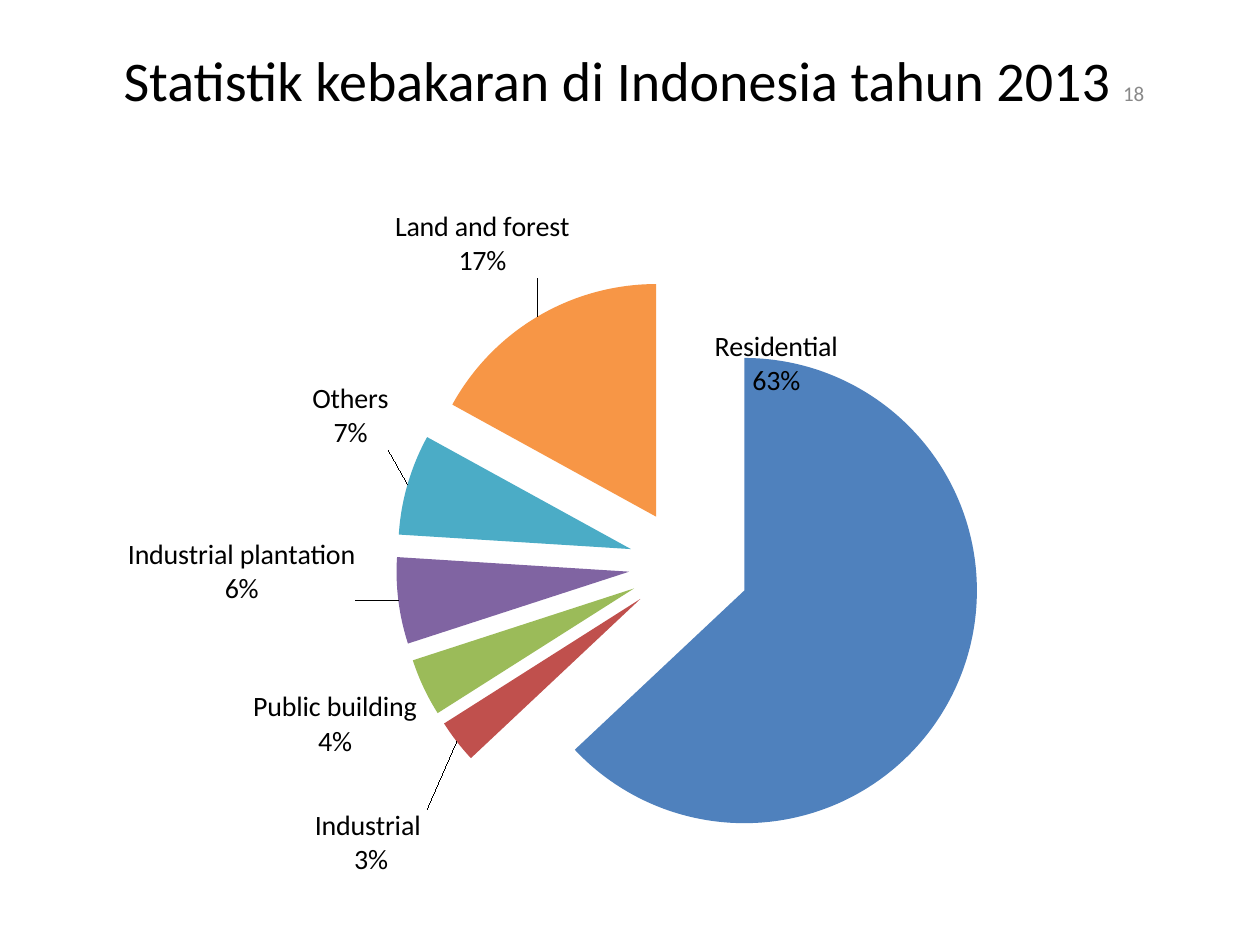
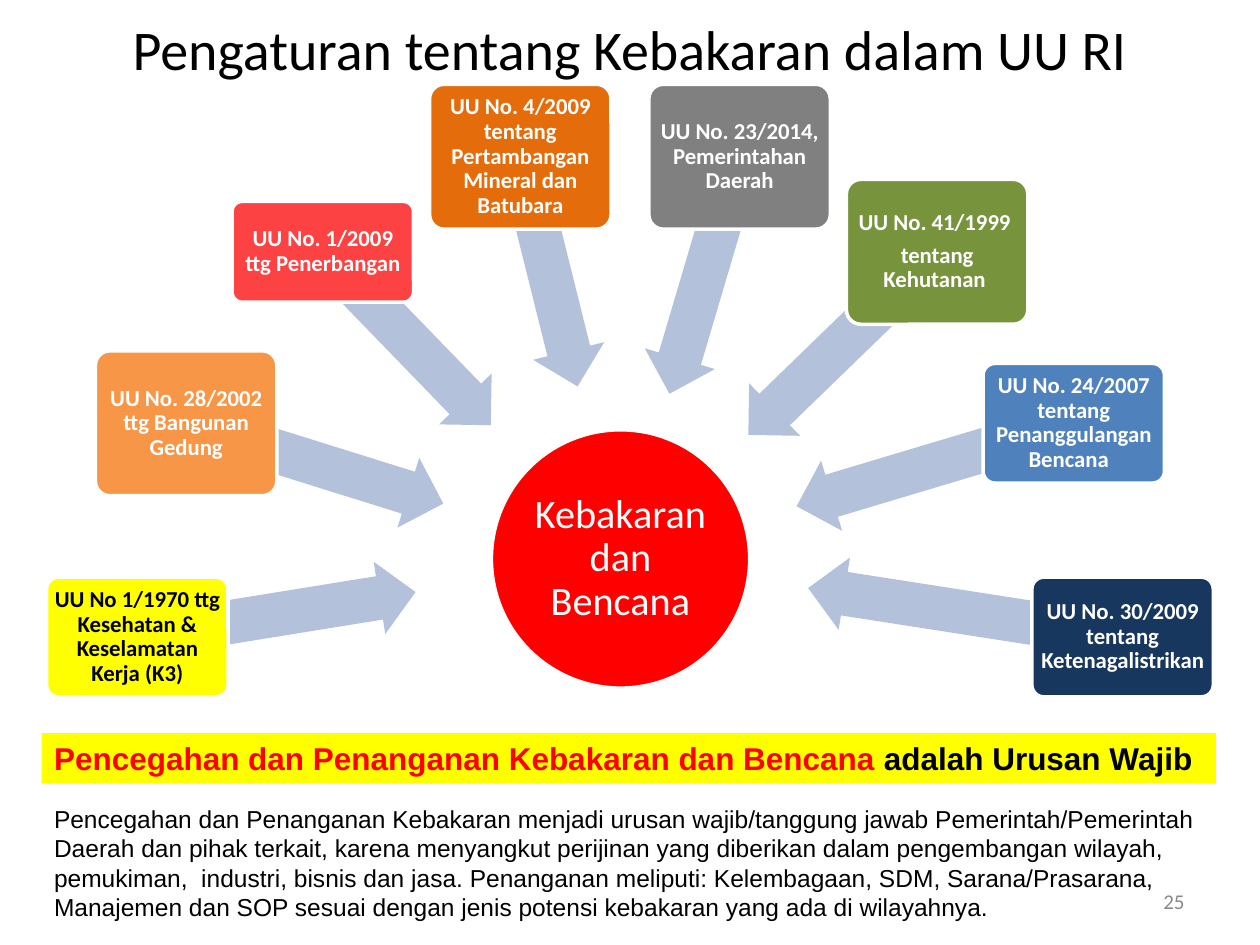
from math import atan2, cos, degrees, pi, sin

from pptx import Presentation
from pptx.chart.data import CategoryChartData
from pptx.dml.color import RGBColor
from pptx.enum.chart import XL_CHART_TYPE, XL_LABEL_POSITION
from pptx.enum.shapes import MSO_SHAPE
from pptx.enum.text import MSO_ANCHOR, PP_ALIGN
from pptx.oxml import parse_xml
from pptx.oxml.ns import nsdecls
from pptx.util import Pt

PIE = XL_CHART_TYPE.PIE
OUTSIDE = XL_LABEL_POSITION.OUTSIDE_END
MIDDLE, TOP = MSO_ANCHOR.MIDDLE, MSO_ANCHOR.TOP
CENTER, LEFT, RIGHT = PP_ALIGN.CENTER, PP_ALIGN.LEFT, PP_ALIGN.RIGHT
OVAL, ROUNDED = MSO_SHAPE.OVAL, MSO_SHAPE.ROUNDED_RECTANGLE
ARROW, RECTANGLE = MSO_SHAPE.LEFT_ARROW, MSO_SHAPE.RECTANGLE

BLACK, WHITE, RED, YELLOW = "000000", "FFFFFF", "FF0000", "FFFF00"
GREY, ARROW_BLUE = "898989", "B3C1DB"

TITLE = dict(size=32, font="Calibri", align=CENTER, anchor=MIDDLE)
PAGE = dict(size=12, color=GREY, font="Calibri", align=RIGHT, anchor=MIDDLE)
LAW = dict(size=13, bold=True, font="Calibri", align=CENTER, anchor=MIDDLE,
           inset=2, leading=0.9, gap=4.5)
HUB = dict(size=23, color=WHITE, font="Calibri", align=CENTER, anchor=MIDDLE,
           inset=1.4, leading=0.9)
BANNER = dict(size=18, bold=True, font="Arial", wrap=False)
DUTY = dict(size=14, font="Arial")

STATISTICS_TITLE = "Statistik kebakaran di Indonesia tahun 2013"
FIRES = [
    ("Residential", 63, "4F81BD", (-0.21, -0.45), None),
    ("Industrial ", 3, "C0504D", (-0.02, 0.08), None),
    ("Public Building", 4, "9BBB59", None, ("Public building", "4%")),
    ("Industrial Plantation", 6, "8064A2", (-0.03, -0.08),
     ("Industrial plantation", "6%")),
    ("Others", 7, "4BACC6", (-0.01, -0.04), None),
    ("Land and forest", 17, "F79646", (0.03, -0.04), None),
]
PLOT = dict(x=0.165, y=0.171, w=0.75, h=0.729)
EXPLOSION, RESIDENTIAL_EXPLOSION = 24, 28

LAWS_TITLE = "Pengaturan tentang Kebakaran dalam UU RI"
HUB_TEXT = "Kebakaran dan Bencana"
LAWS = [
    (["UU No 1/1970 ttg Kesehatan & Keselamatan Kerja (K3)"],
     YELLOW, BLACK, 68.4, 182, 126.7),
    (["UU No. 28/2002 ttg Bangunan Gedung"],
     "F79646", WHITE, 82.8, 172.4, 132.5),
    (["UU No. 1/2009 ttg Penerbangan"],
     "FC4242", WHITE, 57.6, 163.7, 114.5),
    (["UU No. 4/2009 tentang Pertambangan Mineral dan Batubara"],
     "E46C0A", WHITE, 82.8, 159.9, 116.6),
    (["UU No. 23/2014, Pemerintahan Daerah"],
     "808080", WHITE, 82.8, 161.1, 125.3),
    (["UU No. 41/1999 ", "tentang Kehutanan "],
     "77933C", WHITE, 82.8, 168, 132.5),
    (["UU No. 24/2007 tentang Penanggulangan Bencana  "],
     "4F81BD", WHITE, 68.4, 177.7, 145.4),
    (["UU No. 30/2009 tentang Ketenagalistrikan "],
     "17375E", WHITE, 68.4, 188.4, 159.8),
]
BANNER_RUNS = [("Pencegahan dan Penanganan Kebakaran dan Bencana ", RED),
               ("adalah Urusan Wajib", BLACK)]
DUTY_TEXT = (
    "Pencegahan dan Penanganan Kebakaran menjadi urusan wajib/tanggung jawab "
    "Pemerintah/Pemerintah Daerah dan pihak terkait, karena menyangkut perijinan "
    "yang diberikan dalam pengembangan wilayah, pemukiman,  industri, bisnis dan "
    "jasa. Penanganan meliputi: Kelembagaan, SDM, Sarana/Prasarana, Manajemen dan "
    "SOP sesuai dengan jenis potensi kebakaran yang ada di wilayahnya.")

ARC_X, ARC_Y, ARC_RADIUS = 360, 364, 281.5
HUB_X, HUB_Y, HUB_SIZE = 354.6, 319.4, 147.6
LAW_WIDTH, ARROW_HEIGHT = 103.7, 41.8


def rgb(color):
    return RGBColor.from_string(color)


def points(*lengths):
    return [Pt(length) for length in lengths]


def around(x, y, width, height):
    return x - width / 2, y - height / 2, width, height


def write(holder, paragraphs, size, font, color=BLACK, bold=False, align=LEFT,
          anchor=TOP, inset=None, leading=None, gap=0, wrap=True):
    frame = holder.text_frame
    settings = dict(word_wrap=wrap, vertical_anchor=anchor)
    if inset is not None:
        for side in ("left", "top", "right", "bottom"):
            settings["margin_" + side] = Pt(inset)
    for name, value in settings.items():
        setattr(frame, name, value)
    for index, runs in enumerate(paragraphs):
        paragraph = frame.add_paragraph() if index else frame.paragraphs[0]
        spacing = dict(alignment=align, line_spacing=leading,
                       space_before=Pt(gap if index else 0))
        for name, value in spacing.items():
            setattr(paragraph, name, value)
        for words, tint in [(runs, color)] if isinstance(runs, str) else runs:
            run = paragraph.add_run()
            run.text = words
            for name, value in dict(size=Pt(size), name=font, bold=bold).items():
                setattr(run.font, name, value)
            run.font.color.rgb = rgb(tint)


def add_text(slide, box, paragraphs, style):
    write(slide.shapes.add_textbox(*points(*box)), paragraphs, **style)


def add_filled(slide, preset, box, fill, outline=None):
    shape = slide.shapes.add_shape(preset, *points(*box))
    shape.shadow.inherit = False
    shape.fill.solid()
    shape.fill.fore_color.rgb = rgb(fill)
    if outline:
        shape.line.color.rgb = rgb(outline)
        shape.line.width = Pt(2)
    else:
        shape.line.fill.background()
    return shape


def add_slide(deck, title, title_box, page, page_box):
    slide = deck.slides.add_slide(deck.slide_layouts[5])
    heading = slide.shapes.title
    for name, value in zip(("left", "top", "width", "height"), points(*title_box)):
        setattr(heading, name, value)
    write(heading, [title], **TITLE)
    add_text(slide, page_box, [page], PAGE)
    return slide


def label_xml(index, offset, lines):
    layout = words = ""
    if offset:
        layout = ('<c:layout><c:manualLayout><c:x val="%s"/><c:y val="%s"/>'
                  '</c:manualLayout></c:layout>' % offset)
    if lines:
        words = "<c:tx><c:rich><a:bodyPr/>%s</c:rich></c:tx>" % "".join(
            '<a:p><a:r><a:rPr lang="en-US" sz="1600"/><a:t>%s</a:t></a:r></a:p>' % line
            for line in lines)
    shown = dict(LegendKey=0, Val=0, CatName=1, SerName=0, Percent=1, BubbleSize=0)
    flags = "".join('<c:show%s val="%d"/>' % flag for flag in shown.items())
    return parse_xml(
        '<c:dLbl %s><c:idx val="%d"/>%s%s<c:dLblPos val="outEnd"/>%s'
        '<c:separator>\n</c:separator></c:dLbl>'
        % (nsdecls("c", "a"), index, layout, words, flags))


def add_fire_pie(slide):
    data = CategoryChartData()
    data.categories = [fire[0] for fire in FIRES]
    data.add_series("Series 1", [fire[1] for fire in FIRES])
    chart = slide.shapes.add_chart(PIE, *points(23.8, 80.6, 680.4, 452.2), data).chart
    chart.has_legend = chart.has_title = False
    for name, value in dict(size=Pt(16), name="Calibri").items():
        setattr(chart.font, name, value)
    chart.font.color.rgb = rgb(BLACK)
    plot = chart.plots[0]
    plot.vary_by_categories = True
    series = plot.series[0]
    for index, fire in enumerate(FIRES):
        fill = series.points[index].format.fill
        fill.solid()
        fill.fore_color.rgb = rgb(fire[2])

    explosion = '<c:explosion %s val="%d"/>'
    slices = series._element.findall("{*}dPt")
    slices[0].addprevious(parse_xml(explosion % (nsdecls("c"), EXPLOSION)))
    for index, wedge in enumerate(slices):
        amount = EXPLOSION if index else RESIDENTIAL_EXPLOSION
        wedge.find("{*}spPr").addprevious(
            parse_xml(explosion % (nsdecls("c"), amount)))

    labels = series.data_labels
    settings = dict(show_value=False, show_category_name=True,
                    show_percentage=True, position=OUTSIDE)
    for name, value in settings.items():
        setattr(labels, name, value)
    labels.font.size = Pt(16)
    labels.font.color.rgb = rgb(BLACK)
    holder = labels._element
    for index, fire in enumerate(FIRES):
        holder.insert(index, label_xml(index, *fire[3:]))
    holder.find("{*}showBubbleSize").addnext(
        parse_xml("<c:separator %s>\n</c:separator>" % nsdecls("c")))

    area = chart._chartSpace.find(".//{*}plotArea")
    for layout in area.findall("{*}layout"):
        area.remove(layout)
    sizes = "".join('<c:%s val="%s"/>' % part for part in PLOT.items())
    area.insert(0, parse_xml(
        '<c:layout %s><c:manualLayout><c:layoutTarget val="inner"/>'
        '<c:xMode val="edge"/><c:yMode val="edge"/>%s</c:manualLayout></c:layout>'
        % (nsdecls("c"), sizes)))


def add_law_fan(slide):
    hub = add_filled(slide, OVAL, around(HUB_X, HUB_Y, HUB_SIZE, HUB_SIZE), RED, WHITE)
    write(hub, [HUB_TEXT], **HUB)
    for index, (words, fill, color, height, reach, length) in enumerate(LAWS):
        turn = pi * index / (len(LAWS) - 1)
        x, y = ARC_X - ARC_RADIUS * cos(turn), ARC_Y - ARC_RADIUS * sin(turn)
        bearing = atan2(y - HUB_Y, x - HUB_X)
        arrow = add_filled(slide, ARROW, around(
            HUB_X + reach * cos(bearing), HUB_Y + reach * sin(bearing),
            length, ARROW_HEIGHT), ARROW_BLUE)
        arrow.adjustments[0], arrow.adjustments[1] = 0.6, 0.5
        arrow.rotation = degrees(bearing) % 360
        law = add_filled(slide, ROUNDED, around(x, y, LAW_WIDTH, height), fill, WHITE)
        law.adjustments[0] = 0.1
        write(law, words, color=color, **LAW)


def main():
    deck = Presentation()
    deck.slide_width, deck.slide_height = points(720, 540)

    statistics = add_slide(deck, STATISTICS_TITLE, (59.8, 7.2, 586, 76.3),
                           "18", (611.3, 23, 49.7, 60.5))
    add_fire_pie(statistics)

    laws = add_slide(deck, LAWS_TITLE, (36, -5.8, 648, 66.2),
                     "25", (516.2, 500.4, 167.8, 28.8))
    add_law_fan(laws)
    banner = add_filled(laws, RECTANGLE, (23.8, 419, 671, 28.8), YELLOW)
    write(banner, [BANNER_RUNS], **BANNER)
    add_text(laws, (23.8, 455.8, 679.7, 74.9), [DUTY_TEXT], DUTY)

    deck.save("out.pptx")


if __name__ == "__main__":
    main()
